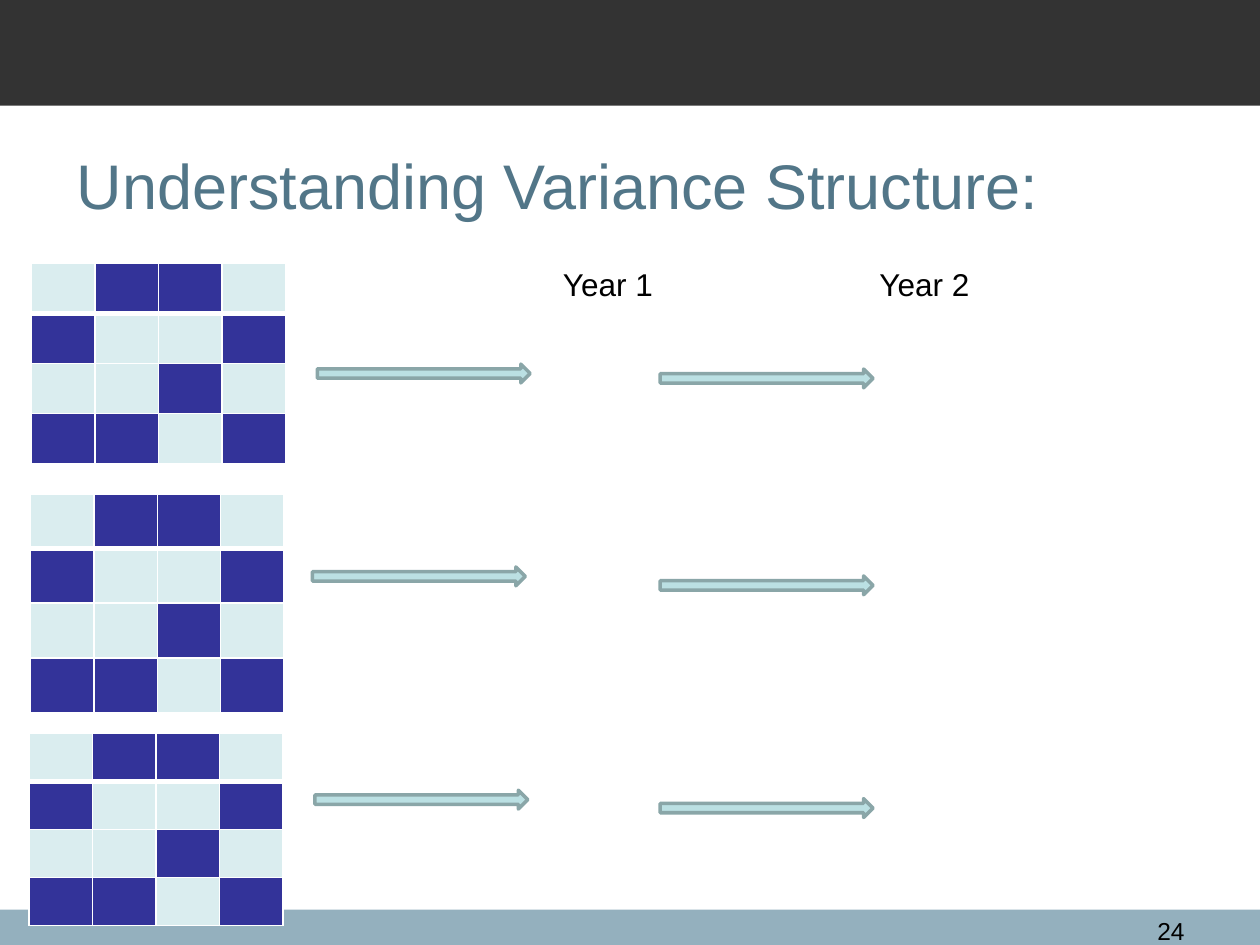
"""Build the slide on variance structure with three grids and arrows."""
import dataclasses

import lxml.etree
import pptx
import pptx.dml.color
import pptx.enum.shapes
import pptx.enum.text
import pptx.oxml.ns
import pptx.util

Cm = pptx.util.Cm
Pt = pptx.util.Pt
Kind = pptx.enum.shapes.MSO_SHAPE
Align = pptx.enum.text.PP_ALIGN
Anchor = pptx.enum.text.MSO_ANCHOR


@dataclasses.dataclass(frozen=True)
class Theme:
    font: str = "Arial"
    head: str = "333333"
    foot: str = "94B0BE"
    title: str = "527688"
    ink: str = "000000"
    rule: str = "FFFFFF"
    light: str = "DAEDEF"
    dark: str = "333399"
    arrow: str = "BBE0E3"
    edge: str = "8AA6A8"
    big: int = 36
    mid: int = 18
    small: int = 14


THEME = Theme()
CELLS = ("0110", "1001", "0010", "1101")
GRIDS = ((0.64, 5.31, 1.01), (0.61, 9.96, 1.1), (0.58, 14.78, 0.97))
ARROWS = ((6.4, 7.34), (6.3, 11.43), (6.35, 15.93),
          (13.31, 7.44), (13.31, 11.61), (13.31, 16.1))


def color(code):
    return pptx.dml.color.RGBColor.from_string(code)


def paint(item, code):
    item.fill.solid()
    item.fill.fore_color.rgb = color(code)


def add_shape(slide, kind, box, fill, edge=None):
    shape = slide.shapes.add_shape(kind, *map(Cm, box))
    shape.shadow.inherit = False
    paint(shape, fill)
    if edge:
        shape.line.color.rgb = color(edge)
        shape.line.width = Pt(2)
    else:
        shape.line.fill.background()


def add_text(slide, text, box, size, ink, align=Align.LEFT, anchor=Anchor.TOP):
    frame = slide.shapes.add_textbox(*map(Cm, box)).text_frame
    frame.word_wrap = True
    frame.vertical_anchor = anchor
    frame.text = text
    para = frame.paragraphs[0]
    para.alignment = align
    para.font.name = THEME.font
    para.font.size = Pt(size)
    para.font.color.rgb = color(ink)


def add_rule(cell, side, width):
    qn = pptx.oxml.ns.qn
    props = cell._tc.get_or_add_tcPr()
    line = lxml.etree.SubElement(props, qn("a:ln" + side), w=str(Pt(width)))
    fill = lxml.etree.SubElement(line, qn("a:solidFill"))
    lxml.etree.SubElement(fill, qn("a:srgbClr"), val=THEME.rule)


def add_grid(slide, left, top, high):
    size = len(CELLS)
    wide = 1.28
    box = (left, top, wide * size, high * size)
    table = slide.shapes.add_table(size, size, *map(Cm, box)).table
    for col in table.columns:
        col.width = Cm(wide)
    for r, marks in enumerate(CELLS):
        table.rows[r].height = Cm(high)
        for c, mark in enumerate(marks):
            cell = table.cell(r, c)
            cell.margin_top = cell.margin_bottom = 0
            for side in "LRTB":
                thick = (r, side) in ((0, "B"), (1, "T"))
                add_rule(cell, side, 3 if thick else 1)
            paint(cell, THEME.dark if mark == "1" else THEME.light)


def main():
    deck = pptx.Presentation()
    deck.slide_width, deck.slide_height = Cm(25.4), Cm(19.05)
    slide = deck.slides.add_slide(deck.slide_layouts[6])
    add_shape(slide, Kind.RECTANGLE, (0, 18.34, 25.4, 0.71), THEME.foot)
    add_shape(slide, Kind.RECTANGLE, (0, 0, 25.4, 2.13), THEME.head)
    add_text(slide, "Understanding Variance Structure:", (1.3, 2.13, 22.86, 3.18),
             THEME.big, THEME.title, anchor=Anchor.MIDDLE)
    add_text(slide, "24", (22.5, 18.34, 1.63, 0.61),
             THEME.small, THEME.ink, Align.RIGHT)
    for grid in GRIDS:
        add_grid(slide, *grid)
    for text, left in (("Year 1", 11.1), ("Year 2", 17.48)):
        add_text(slide, text, (left, 5.21, 4.2, 1.02), THEME.mid, THEME.ink)
    for left, top in ARROWS:
        add_shape(slide, Kind.RIGHT_ARROW, (left, top, 4.29, 0.38),
                  THEME.arrow, THEME.edge)
    deck.save("out.pptx")


if __name__ == "__main__":
    main()
